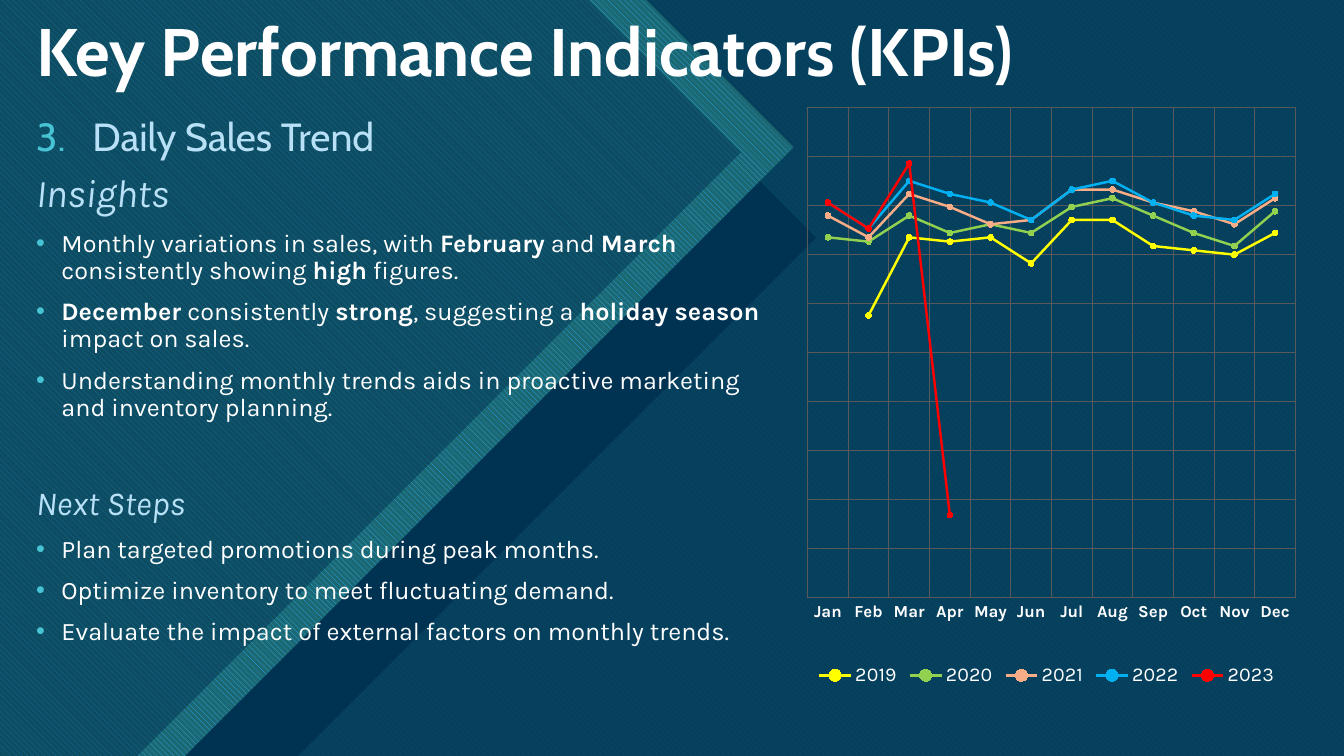
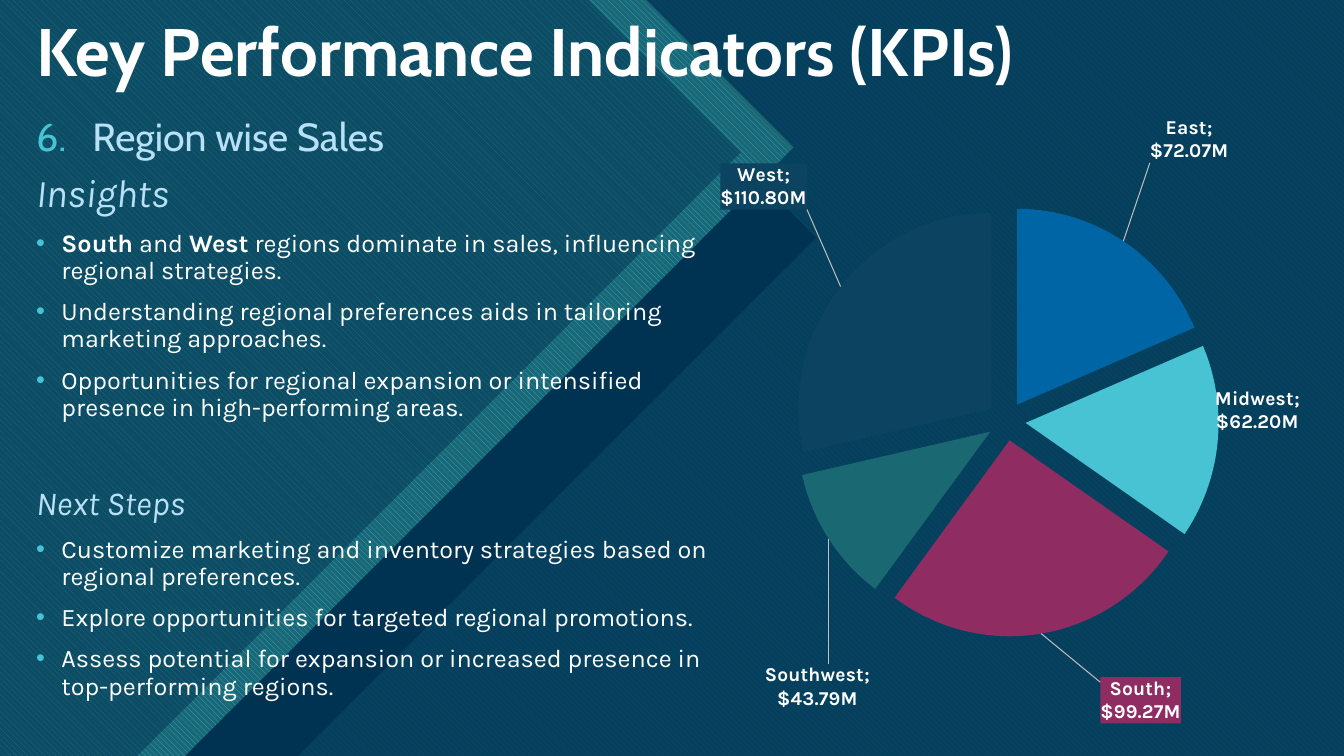
from pptx import Presentation
from pptx import util as u
from pptx.chart.data import CategoryChartData
from pptx.dml.color import RGBColor
from pptx.enum import chart as ch, dml, shapes, text
from pptx.oxml import parse_xml
from pptx.oxml.ns import nsdecls, qn

NAVY, TEAL, AQUA, BLUE = "003352", "1B6872", "47C3D3", "0065A4"
WHITE, PALE, GRID = "FFFFFF", "B8E0F6", "595959"
WIDTH, HEIGHT = 33.87, 19.05


def rgb(value):
    return RGBColor.from_string(value)


def set_font(font, name, size, color, bold=False, italic=False):
    font.name, font.size = name, u.Pt(size)
    font.bold, font.italic = bold, italic
    font.color.rgb = rgb(color)


prs = Presentation()
prs.slide_width, prs.slide_height = u.Cm(WIDTH), u.Cm(HEIGHT)
layout = prs.slide_layouts[5]
for extra in list(layout.placeholders)[1:]:
    extra.element.getparent().remove(extra.element)
trend, regions = [prs.slides.add_slide(layout) for _ in range(2)]

# Shared backdrop: full sheets, then 45-degree arrows given by their tips
# (tip, colour, pattern background, opacity in percent)
backdrop = [
    (None, BLUE, AQUA, 100),
    (None, NAVY, None, 90),
    ((20.57, 5.99), NAVY, None, 100),
    ((20, 3.71), "2FAFFF", TEAL, 100),
    ((18.67, 3.84), NAVY, None, 51),
]
for layer, (tip, color, pattern_back, opacity) in enumerate(backdrop):
    if tip:
        x, y = tip
        corners = [(x - y, 0), (x, y), (x - (HEIGHT - y), HEIGHT), (0, HEIGHT)]
        outline = trend.shapes.build_freeform(0, 0)
        outline.add_line_segments([(u.Cm(cx), u.Cm(cy)) for cx, cy in corners])
        sheet = outline.convert_to_shape()
    else:
        sheet = trend.shapes.add_shape(
            shapes.MSO_SHAPE.RECTANGLE, 0, 0, prs.slide_width, prs.slide_height)
    sheet.shadow.inherit = False
    sheet.line.fill.background()
    if pattern_back:
        sheet.fill.patterned()
        sheet.fill.pattern = dml.MSO_PATTERN.WIDE_DOWNWARD_DIAGONAL
        sheet.fill.back_color.rgb = rgb(pattern_back)
    else:
        sheet.fill.solid()
    sheet.fill.fore_color.rgb = rgb(color)
    if opacity < 100:
        sheet.element.xpath("./p:spPr//a:srgbClr")[0].append(
            parse_xml(f'<a:alpha {nsdecls("a")} val="{opacity * 1000}"/>'))
    layout.shapes.element.insert(2 + layer, sheet.element)

# Title and text column; asterisks enclose bold words
columns = [
    (trend, 19.3, 3, "Daily Sales Trend", [
        "Monthly variations in sales, with *February* and *March* consistently showing *high* figures.",
        "*December* consistently *strong*, suggesting a *holiday season* impact on sales.",
        "Understanding monthly trends aids in proactive marketing and inventory planning.",
    ], [
        "Plan targeted promotions during peak months.",
        "Optimize inventory to meet fluctuating demand.",
        "Evaluate the impact of external factors on monthly trends.",
    ]),
    (regions, 17.5, 6, "Region wise Sales", [
        "*South* and *West* regions dominate in sales, influencing regional strategies.",
        "Understanding regional preferences aids in tailoring marketing approaches.",
        "Opportunities for regional expansion or intensified presence in high-performing areas.",
    ], [
        "Customize marketing and inventory strategies based on regional preferences.",
        "Explore opportunities for targeted regional promotions.",
        "Assess potential for expansion or increased presence in top-performing regions.",
    ]),
]
for slide, width, number, topic, insights, next_steps in columns:
    title = slide.shapes.title
    title.left, title.top = u.Cm(0.66), u.Cm(0.45)
    title.width, title.height = u.Cm(32.41), u.Cm(1.85)
    heading = title.text_frame
    heading.auto_size = text.MSO_AUTO_SIZE.NONE
    heading.vertical_anchor = text.MSO_ANCHOR.MIDDLE
    heading.paragraphs[0].alignment = text.PP_ALIGN.LEFT
    heading.paragraphs[0].line_spacing = 0.9
    run = heading.paragraphs[0].add_run()
    run.text = "Key Performance Indicators (KPIs)"
    set_font(run.font, "Cabin", 48, WHITE, bold=True)

    column = slide.shapes.add_textbox(
        u.Cm(0.66), u.Cm(2.84), u.Cm(width), u.Cm(15.5)).text_frame
    column.word_wrap = True
    bullet = '<a:buChar {} char="•"/>'
    numeral = '<a:buAutoNum {} type="arabicPeriod" startAt="%d"/>' % number
    # (text, font, size, colour, italic, space before, marker, indent)
    lines = [(topic, "Cabin", 28, PALE, False, 10, numeral, 1.42)]
    for name, size, gap, points in [("Insights", 28, 10, insights),
                                    ("Next Steps", 24, 46, next_steps)]:
        lines.append((name, "Karla", size, PALE, True, gap, None, 0))
        lines += [(point, "Karla", 18, WHITE, False, 10, bullet, 0.64)
                  for point in points]
    for i, (words, face, size, color, italic, gap, marker, indent) in enumerate(lines):
        para = column.add_paragraph() if i else column.paragraphs[0]
        para.line_spacing, para.space_before = 0.9, u.Pt(gap)
        if marker:
            props = para._p.get_or_add_pPr()
            props.set("marL", str(u.Cm(indent)))
            props.set("indent", str(-u.Cm(indent)))
            props.append(parse_xml(
                f'<a:buClr {nsdecls("a")}><a:srgbClr val="{AQUA}"/></a:buClr>'))
            props.append(parse_xml(f'<a:buFont {nsdecls("a")} typeface="Arial"/>'))
            props.append(parse_xml(marker.format(nsdecls("a"))))
        for part, piece in enumerate(words.split("*")):
            if piece:
                run = para.add_run()
                run.text = piece
                set_font(run.font, face, size, color, part % 2 == 1, italic)

# Monthly sales by year
yearly_sales = [
    ("2019", "FFFF00", [None, 65, 83, 82, 83, 77, 87, 87, 81, 80, 79, 84]),
    ("2020", "92D050", [83, 82, 88, 84, 86, 84, 90, 92, 88, 84, 81, 89]),
    ("2021", "F8AD86", [88, 83, 93, 90, 86, 87, 94, 94, 91, 89, 86, 92]),
    ("2022", "00B0F0", [91, 85, 96, 93, 91, 87, 94, 96, 91, 88, 87, 93]),
    ("2023", "FF0000", [91, 85, 100, 19] + [None] * 8),
]
trend_data = CategoryChartData()
trend_data.categories = "Jan Feb Mar Apr May Jun Jul Aug Sep Oct Nov Dec".split()
for year, _, sales in yearly_sales:
    trend_data.add_series(year, sales)
trend_chart = trend.shapes.add_chart(
    ch.XL_CHART_TYPE.LINE_MARKERS, u.Cm(19.96), u.Cm(2.23), u.Cm(13.08),
    u.Cm(15.65), trend_data).chart
months, amounts = trend_chart.category_axis, trend_chart.value_axis
for axis in (months, amounts):
    axis.has_major_gridlines = True
    axis.major_gridlines.format.line.color.rgb = rgb(GRID)
    axis.major_gridlines.format.line.width = u.Pt(0.75)
months.major_tick_mark = ch.XL_TICK_MARK.NONE
months.format.line.fill.background()
set_font(months.tick_labels.font, "Karla", 12, WHITE, bold=True)
amounts.minimum_scale, amounts.maximum_scale = 0, 113
amounts.major_unit = 11.3
amounts.visible = False
trend_chart.has_legend = True
trend_chart.legend.position = ch.XL_LEGEND_POSITION.BOTTOM
trend_chart.legend.include_in_layout = False
set_font(trend_chart.legend.font, "Karla", 14, WHITE)
legend = trend_chart.element.xpath(".//c:legend")[0]
for old in legend.findall(qn("c:layout")):
    legend.remove(old)
legend.find(qn("c:legendPos")).addnext(parse_xml(
    f'<c:layout {nsdecls("c")}><c:manualLayout><c:xMode val="edge"/>'
    '<c:yMode val="edge"/><c:x val="0.04"/><c:y val="0.92"/>'
    '</c:manualLayout></c:layout>'))
for series, (_, color, _) in zip(trend_chart.plots[0].series, yearly_sales):
    series.smooth = False
    series.format.line.color.rgb = rgb(color)
    series.format.line.width = u.Pt(1.75)
    series.marker.style = ch.XL_MARKER_STYLE.CIRCLE
    series.marker.size = 4
    series.marker.format.fill.solid()
    series.marker.format.fill.fore_color.rgb = rgb(color)
    series.marker.format.line.color.rgb = rgb(color)

# Sales by region: (name, sales, slice colour, label shift x and y, label fill)
region_sales = [
    ("East", 72070000, BLUE, 0.04, -0.12, None),
    ("Midwest", 62200000, AQUA, -0.01, -0.09, None),
    ("South", 99270000, "8F2D63", 0.1, 0.07, "8F2D63"),
    ("Southwest", 43790000, "1A6871", 0.08, 0.2, None),
    ("West", 110800000, "0C4360", -0.05, -0.12, "0C4360"),
]
region_data = CategoryChartData()
region_data.categories = [row[0] for row in region_sales]
region_data.add_series("Series 1", [row[1] for row in region_sales])
region_chart = regions.shapes.add_chart(
    ch.XL_CHART_TYPE.PIE, u.Cm(18.1), u.Cm(2.84), u.Cm(14.88), u.Cm(15.39),
    region_data).chart
region_chart.has_legend = False
pie = region_chart.plots[0]
pie.vary_by_categories = True
region_chart.element.xpath(".//c:ser/c:tx")[0].addnext(
    parse_xml(f'<c:explosion {nsdecls("c")} val="10"/>'))
money = '\\$#,##0.00,,"M"'
labels = pie.series[0].data_labels
labels.show_value = labels.show_category_name = True
labels.number_format, labels.number_format_is_linked = money, False
labels.position = ch.XL_LABEL_POSITION.OUTSIDE_END
set_font(labels.font, "Karla", 14, WHITE, bold=True)
for i, (_, _, color, shift_x, shift_y, label_fill) in enumerate(region_sales):
    point = pie.series[0].points[i]
    point.format.fill.solid()
    point.format.fill.fore_color.rgb = rgb(color)
    set_font(point.data_label.font, "Karla", 14, WHITE, bold=True)
    point.data_label.position = ch.XL_LABEL_POSITION.OUTSIDE_END
    label = region_chart.element.xpath(f".//c:dLbl[c:idx/@val='{i}']")[0]
    label.find(qn("c:showCatName")).set("val", "1")
    paint = (f'<a:solidFill><a:srgbClr val="{label_fill}"/></a:solidFill>'
             if label_fill else "<a:noFill/>")
    label.insert(1, parse_xml(
        f'<c:layout {nsdecls("c")}><c:manualLayout><c:x val="{shift_x}"/>'
        f'<c:y val="{shift_y}"/></c:manualLayout></c:layout>'))
    number_format = parse_xml(f'<c:numFmt {nsdecls("c")} sourceLinked="0"/>')
    number_format.set("formatCode", money)
    label.insert(2, number_format)
    for old in label.findall(qn("c:spPr")):
        label.remove(old)
    label.insert(3, parse_xml(f'<c:spPr {nsdecls("c", "a")}>{paint}</c:spPr>'))

# Name and value each keep to one unbroken line
for body in region_chart.element.xpath(".//c:ser/c:dLbls//a:bodyPr"):
    body.set("wrap", "none")
for flag in region_chart.element.xpath(".//c:ser/c:dLbls//c:showBubbleSize"):
    flag.addnext(parse_xml(f'<c:separator {nsdecls("c")}>;\n</c:separator>'))
for leader in region_chart.element.xpath(".//c:ser/c:dLbls/c:showLeaderLines"):
    leader.set("val", "1")
    leader.addnext(parse_xml(
        f'<c:leaderLines {nsdecls("c", "a")}><c:spPr><a:ln w="9525"><a:solidFill>'
        '<a:srgbClr val="BFBFBF"/></a:solidFill></a:ln></c:spPr></c:leaderLines>'))

# Inner plot areas as fractions of each chart
for chart, frame in [(trend_chart, (0.03, 0.03, 0.94, 0.79)),
                     (region_chart, (0.13, 0.14, 0.73, 0.73))]:
    chart.has_title = False
    chart.font.name, chart.font.size = "Karla", u.Pt(14)
    plot_area = chart.element.xpath(".//c:plotArea")[0]
    for old in plot_area.findall(qn("c:layout")):
        plot_area.remove(old)
    sides = "".join(f'<c:{side} val="{share}"/>' for side, share in zip("xywh", frame))
    plot_area.insert(0, parse_xml(
        f'<c:layout {nsdecls("c")}><c:manualLayout><c:layoutTarget val="inner"/>'
        f'<c:xMode val="edge"/><c:yMode val="edge"/>{sides}'
        '</c:manualLayout></c:layout>'))

prs.save("out.pptx")
